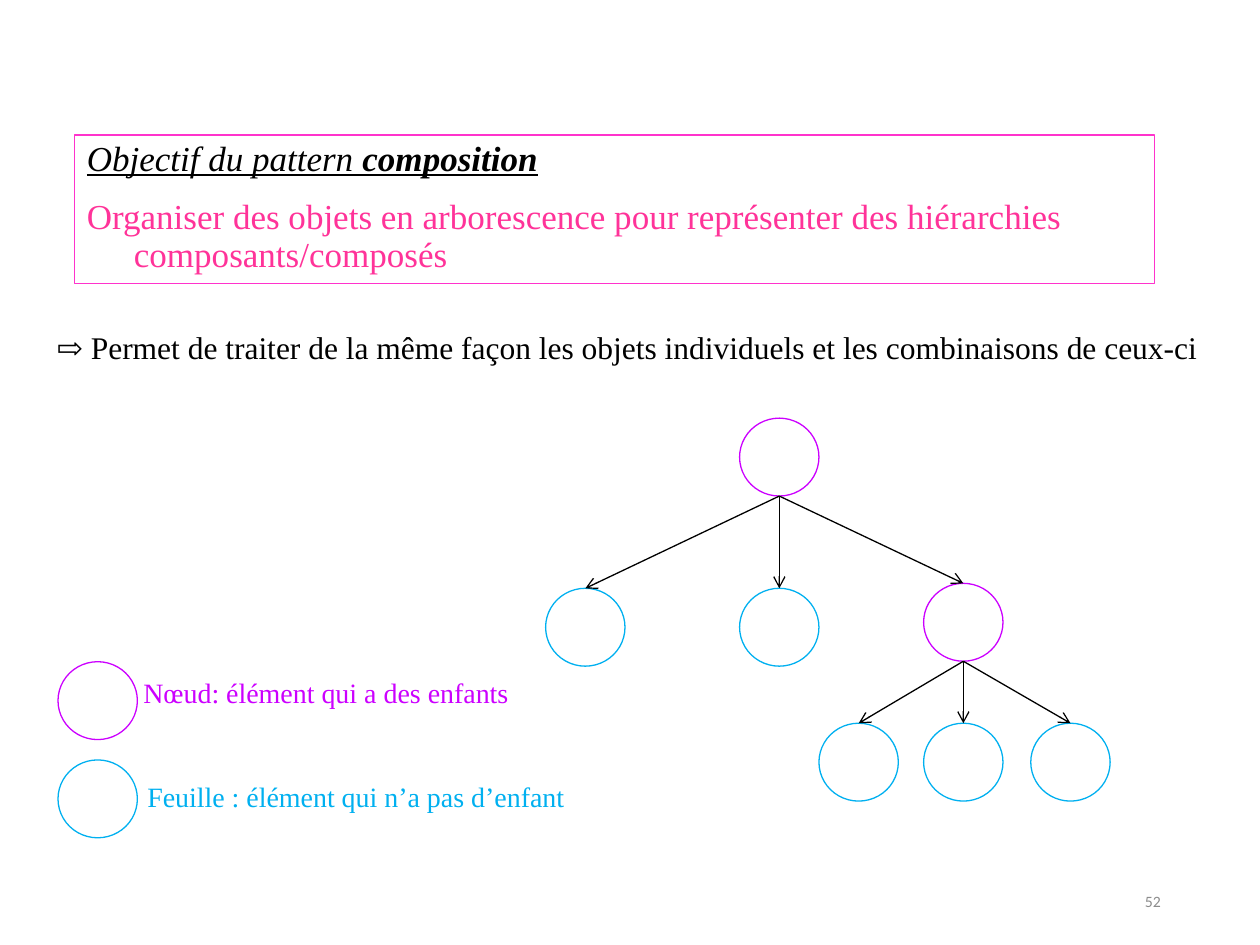
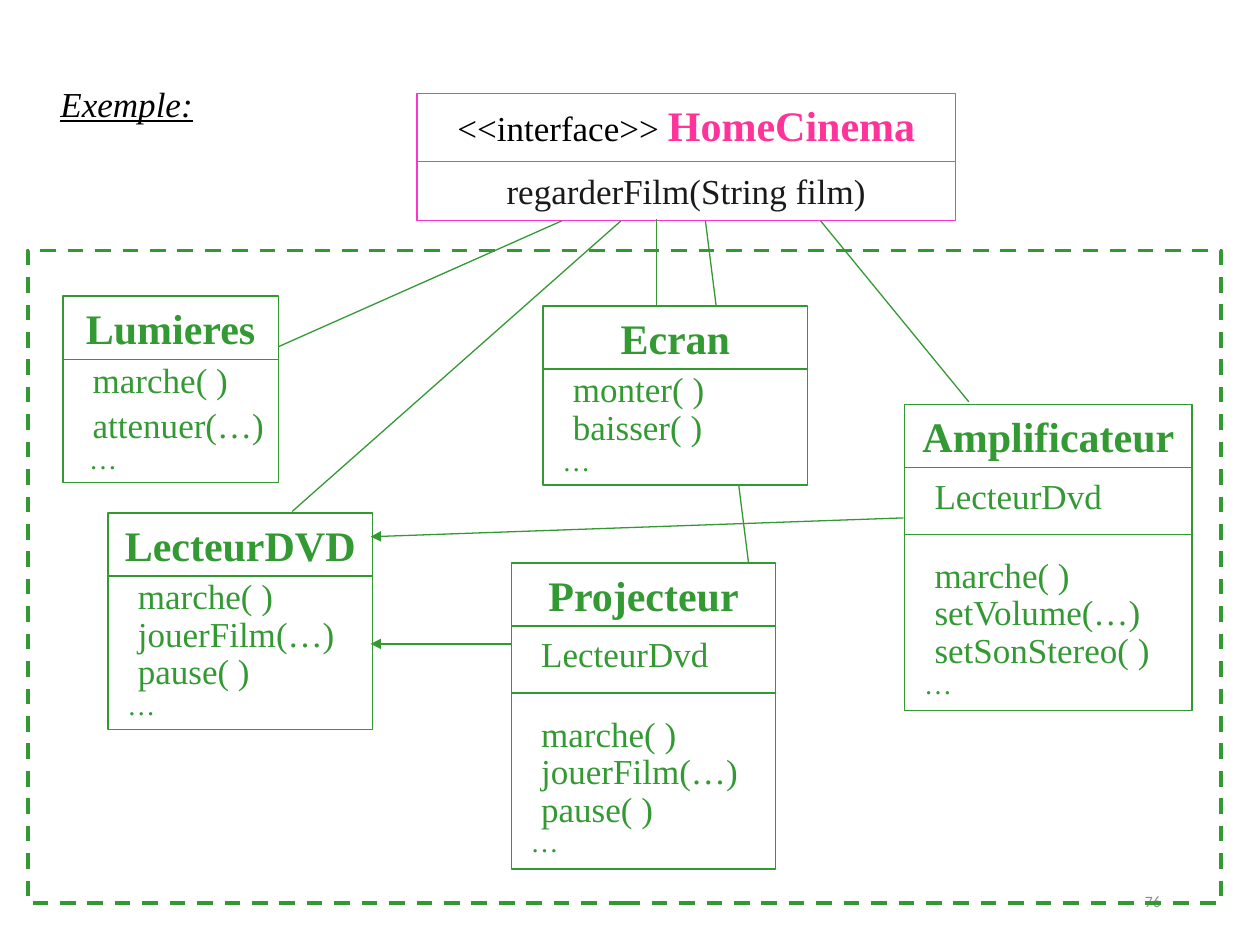
import lxml.etree
import pptx
import pptx.dml.color
import pptx.enum.dml
import pptx.enum.shapes
import pptx.enum.text
import pptx.oxml.ns
import pptx.util

Cm = pptx.util.Cm
Pt = pptx.util.Pt
RGBColor = pptx.dml.color.RGBColor
Align = pptx.enum.text.PP_ALIGN
Anchor = pptx.enum.text.MSO_ANCHOR
Shape = pptx.enum.shapes.MSO_SHAPE

BLACK = RGBColor(0x00, 0x00, 0x00)
DARK = RGBColor(0x1A, 0x1A, 0x1A)
GREY = RGBColor(0x8C, 0x8C, 0x8C)
WHITE = RGBColor(0xFF, 0xFF, 0xFF)
PINK = RGBColor(0xFF, 0x33, 0x99)
MAGENTA = RGBColor(0xFF, 0x33, 0xCC)
PURPLE = RGBColor(0xCC, 0x00, 0xFF)
BLUE = RGBColor(0x00, 0xB0, 0xF0)
GREEN = RGBColor(0x33, 0x99, 0x33)

BODY_FONT = "Times New Roman"
NUMBER_FONT = "Calibri"
HEADING = dict(size=20, italic=True, underline=True, line_spacing=0.9)

# Composition tree, all lengths in cm
CIRCLE_WIDTH, CIRCLE_HEIGHT = 1.6, 1.57
NODES = {
    "root": (14.91, 8.43, PURPLE),
    "left leaf": (11, 11.86, BLUE),
    "middle leaf": (14.91, 11.86, BLUE),
    "branch": (18.62, 11.76, PURPLE),
    "branch leaf 1": (16.51, 14.58, BLUE),
    "branch leaf 2": (18.62, 14.58, BLUE),
    "branch leaf 3": (20.78, 14.58, BLUE),
}
CHILDREN = {
    "root": ["left leaf", "middle leaf", "branch"],
    "branch": ["branch leaf 1", "branch leaf 2", "branch leaf 3"],
}
LEGEND = [
    # circle top, text box, text, colour
    (13.34, (2.64, 13.49, 8, 0.94), "Nœud: élément qui a des enfants", PURPLE),
    (15.32, (2.72, 15.6, 10.16, 0.94), "Feuille : élément qui n’a pas d’enfant", BLUE),
]
LEGEND_LEFT = 1.17

# Class diagram: place, name, attribute, methods, space between methods
HOME_CINEMA = (8.41, 1.88, 10.85, 2.57)
HOME_DIVIDER = 1.37
CLASSES = [
    ((1.27, 5.97, 4.34, 3.76), "Lumieres", None,
     ["marche( )", "attenuer(…)"], 11.5),
    ((2.18, 10.34, 5.33, 4.37), "LecteurDVD", None,
     ["marche( )", "jouerFilm(…)", "pause( )"], 7),
    ((10.31, 11.35, 5.33, 6.17), "Projecteur", "LecteurDvd",
     ["marche( )", "jouerFilm(…)", "pause( )"], 7),
    ((18.24, 8.15, 5.79, 6.17), "Amplificateur", "LecteurDvd",
     ["marche( )", "setVolume(…)", "setSonStereo( )"], 7),
]
SCREEN_CLASS = ((10.95, 6.17, 5.33, 3.61), "Ecran", None,
                ["monter( )", "baisser( )"], 7)
NAME_DIVIDER, ATTRIBUTE_DIVIDER = 1.27, 2.62
SUBSYSTEM = (0.56, 5.05, 24.05, 13.16)
USES = [
    ((10.31, 12.98), (7.47, 12.98)),
    ((18.21, 10.44), (7.47, 10.82)),
]
FACADE_LINKS = [
    ((11.33, 4.45), (5.61, 6.99)),
    ((12.52, 4.45), (5.89, 10.31)),
    ((13.23, 4.42), (13.23, 6.15)),
    ((14.22, 4.45), (15.09, 11.35)),
]
AMPLIFIER_LINK = ((16.54, 4.45), (19.53, 8.1))


def add_text(frame, text, *, size=18, color=BLACK, font=BODY_FONT, bold=False,
             italic=False, underline=False, align=Align.LEFT, before=0,
             line_spacing=None, margin=0, hanging=0, same_line=False):
    """Add a paragraph, or with same_line a further span to the last one."""
    para = frame.paragraphs[-1]
    if not same_line:
        if para.runs:
            para = frame.add_paragraph()
        para.alignment = align
        para.space_before = Pt(before)
        if line_spacing:
            para.line_spacing = line_spacing
        if margin:
            properties = para._p.get_or_add_pPr()
            properties.set("marL", str(Cm(margin)))
            properties.set("indent", str(-Cm(hanging)))
    span = para.add_run()
    span.text = text
    span.font.name = font
    span.font.size = Pt(size)
    span.font.color.rgb = color
    span.font.bold = bold
    span.font.italic = italic
    span.font.underline = underline


def add_text_box(page, place, text, anchor=Anchor.TOP, **text_format):
    frame = page.shapes.add_textbox(*map(Cm, place)).text_frame
    frame.word_wrap = True
    frame.vertical_anchor = anchor
    add_text(frame, text, **text_format)


def add_outline(page, kind, place, color, width=0.75, fill=None):
    box = page.shapes.add_shape(kind, *map(Cm, place))
    box.shadow.inherit = False
    if fill is None:
        box.fill.background()
    else:
        box.fill.solid()
        box.fill.fore_color.rgb = fill
    box.line.color.rgb = color
    box.line.width = Pt(width)
    box.text_frame.word_wrap = True
    box.text_frame.vertical_anchor = Anchor.TOP
    return box


def add_circle(page, left, top, color):
    place = (left, top, CIRCLE_WIDTH, CIRCLE_HEIGHT)
    return add_outline(page, Shape.OVAL, place, color)


def add_line(page, start, end, color, arrow=None):
    line = page.shapes.add_connector(
        pptx.enum.shapes.MSO_CONNECTOR.STRAIGHT, *map(Cm, start + end))
    line.line.color.rgb = color
    line.line.width = Pt(0.75)
    qn = pptx.oxml.ns.qn
    if arrow:
        outline = line.line._get_or_add_ln()
        lxml.etree.SubElement(outline, qn("a:tailEnd"), type=arrow)
    lxml.etree.SubElement(line._element.spPr, qn("a:effectLst"))
    return line


def add_divider(page, place, offset, color):
    left, top, width, _ = place
    add_line(page, (left, top + offset), (left + width, top + offset), color)


def add_page(deck, number):
    page = deck.slides.add_slide(deck.slide_layouts[6])
    add_text_box(page, (17.93, 17.65, 5.72, 1.02), str(number), Anchor.MIDDLE,
                 size=9, color=GREY, font=NUMBER_FONT, align=Align.RIGHT)
    return page


def add_class(page, place, name, attribute, methods, gap, fill=None):
    box = add_outline(page, Shape.RECTANGLE, place, GREEN, fill=fill)
    frame = box.text_frame
    member = dict(size=20, color=GREEN, line_spacing=0.6, margin=0.35)
    add_text(frame, name, size=24, color=GREEN, bold=True, align=Align.CENTER)
    first_gap = 11.5
    add_divider(page, place, NAME_DIVIDER, GREEN)
    if attribute:
        add_text(frame, attribute, before=16, **member)
        add_divider(page, place, ATTRIBUTE_DIVIDER, GREEN)
        first_gap = 31
    for index, method in enumerate(methods):
        add_text(frame, method, before=gap if index else first_gap, **member)
    member.update(size=16, margin=0.28 if name == "Lumieres" else 0.14)
    add_text(frame, "…", before=5.5, **member)


def build_composition(deck):
    page = add_page(deck, 52)
    goal = add_outline(page, Shape.RECTANGLE, (1.5, 2.72, 21.77, 3), MAGENTA)
    add_text(goal.text_frame, "Objectif du pattern ", **HEADING)
    add_text(goal.text_frame, "composition", bold=True, same_line=True, **HEADING)
    add_text(goal.text_frame,
             "Organiser des objets en arborescence pour représenter des "
             "hiérarchies composants/composés",
             size=20, color=PINK, before=11.5, line_spacing=0.9,
             margin=0.95, hanging=0.95)
    add_text_box(page, (0.89, 6.48, 23.8, 2.26),
                 "⇨ Permet de traiter de la même façon les objets individuels "
                 "et les combinaisons de ceux-ci")

    circles = {name: add_circle(page, *node) for name, node in NODES.items()}
    for parent, children in CHILDREN.items():
        left, top, _ = NODES[parent]
        bottom = (left + CIRCLE_WIDTH / 2, top + CIRCLE_HEIGHT)
        for child in children:
            arrow = add_line(page, bottom, bottom, BLACK, "arrow")
            arrow.end_connect(circles[child], 0)

    for top, place, text, color in LEGEND:
        add_circle(page, LEGEND_LEFT, top, color)
        add_text_box(page, place, text, size=16, color=color)


def build_facade_example(deck):
    page = add_page(deck, 76)
    home = add_outline(page, Shape.RECTANGLE, HOME_CINEMA, MAGENTA).text_frame
    add_text(home, "<<interface>> ", size=20, align=Align.CENTER)
    add_text(home, "HomeCinema", size=24, color=PINK, bold=True, same_line=True)
    add_text(home, "regarderFilm(String film)", size=20, color=DARK,
             align=Align.CENTER, before=11.5)
    add_divider(page, HOME_CINEMA, HOME_DIVIDER, MAGENTA)
    add_text_box(page, (0.97, 1.63, 4.45, 1.02), "Exemple:", **HEADING)

    for class_box in CLASSES:
        add_class(page, *class_box)
    for start, end in USES:
        add_line(page, start, end, GREEN, "triangle")
    subsystem = add_outline(page, Shape.RECTANGLE, SUBSYSTEM, GREEN, width=2.25)
    subsystem.line.dash_style = pptx.enum.dml.MSO_LINE.DASH
    for start, end in FACADE_LINKS:
        add_line(page, start, end, GREEN)
    add_class(page, *SCREEN_CLASS, fill=WHITE)
    add_line(page, *AMPLIFIER_LINK, GREEN)


def main():
    deck = pptx.Presentation()
    deck.slide_width = Cm(25.4)
    deck.slide_height = Cm(19.05)
    build_composition(deck)
    build_facade_example(deck)
    deck.save("out.pptx")


if __name__ == "__main__":
    main()
